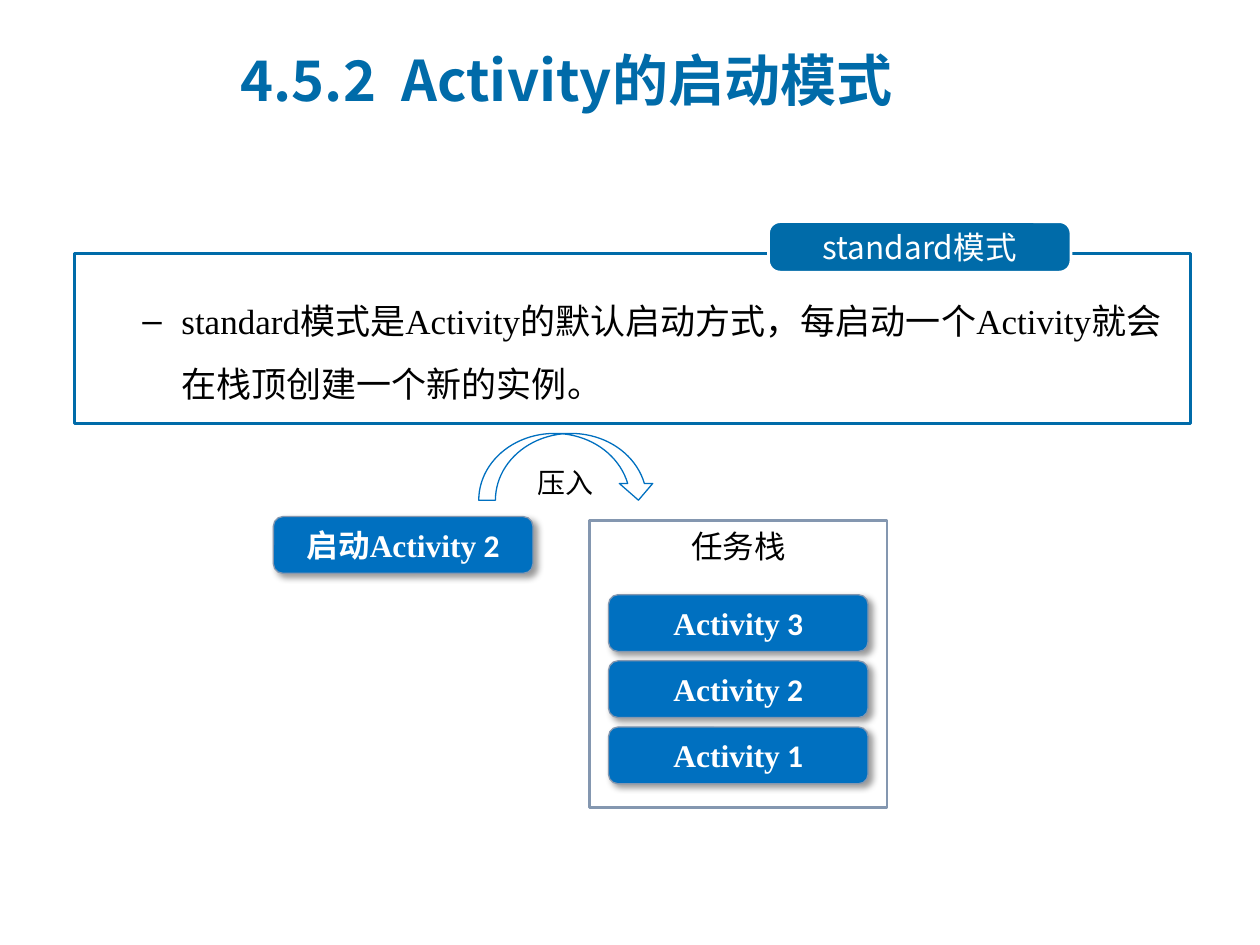
from lxml import etree
from pptx import Presentation
from pptx.dml.color import RGBColor
from pptx.enum.shapes import MSO_SHAPE
from pptx.enum.text import MSO_ANCHOR, MSO_AUTO_SIZE, PP_ALIGN
from pptx.oxml.ns import qn
from pptx.util import Inches, Pt

RECT, ROUND = MSO_SHAPE.RECTANGLE, MSO_SHAPE.ROUNDED_RECTANGLE
ARROW = MSO_SHAPE.CURVED_DOWN_ARROW
TOP, MIDDLE = MSO_ANCHOR.TOP, MSO_ANCHOR.MIDDLE
LEFT, CENTER = PP_ALIGN.LEFT, PP_ALIGN.CENTER
NO_FIT = MSO_AUTO_SIZE.NONE

SANS, SERIF, PLAIN = "Noto Sans CJK SC", "Times New Roman", "Calibri"
TEAL, BLUE, GRAY = "006BA9", "0070C0", "8497B0"
WHITE, BLACK = "FFFFFF", "000000"


def color(code):
    return RGBColor.from_string(code)


def write(frame, runs, size=18, ink=BLACK, bold=False, align=LEFT,
          anchor=TOP, level=0, space=None, indent=None, bullet=None):
    """Fill a frame with one paragraph of (text, font) runs."""
    frame.word_wrap = True
    frame.auto_size = NO_FIT
    frame.vertical_anchor = anchor
    para = frame.paragraphs[0]
    para.alignment = align
    para.level = level
    para.space_before = Pt(0)
    if space:
        para.line_spacing = space
    props = para._p.get_or_add_pPr()
    if indent:
        start, first = indent
        props.set("marL", str(Inches(start)))
        props.set("indent", str(Inches(first)))
    if bullet:
        etree.SubElement(props, qn("a:buChar"), char=bullet)
    for text, face in runs:
        run = para.add_run()
        run.text = text
        font = run.font
        font.size, font.bold, font.name = Pt(size), bold, face
        font.color.rgb = color(ink)
        etree.SubElement(run._r.rPr, qn("a:ea"), typeface=SANS)


class Board:
    """Holds the current slide and draws each kind of element."""

    def __init__(self, deck):
        self.slide = deck.slides.add_slide(deck.slide_layouts[1])
        self.shapes = self.slide.shapes

    def holder(self, index, box, runs, **style):
        item = self.slide.placeholders[index]
        item.left, item.top, item.width, item.height = map(Inches, box)
        write(item.text_frame, runs, **style)

    def label(self, box, runs, **style):
        item = self.shapes.add_textbox(*map(Inches, box))
        write(item.text_frame, runs, **style)

    def shape(self, kind, box, line, width, fill=None, runs=(), **style):
        item = self.shapes.add_shape(kind, *map(Inches, box))
        item.shadow.inherit = False
        item.line.color.rgb = color(line)
        item.line.width = Pt(width)
        if fill:
            item.fill.solid()
            item.fill.fore_color.rgb = color(fill)
        else:
            item.fill.background()
        if runs:
            write(item.text_frame, runs, align=CENTER, **style)
        return item

    def card(self, left, top, runs):
        item = self.shape(ROUND, (left, top, 2.06, 0.45), GRAY, 0.75, BLUE,
                          runs, ink=WHITE, bold=True, anchor=MIDDLE)
        effects = item._element.spPr.find(qn("a:effectLst"))
        shade = etree.SubElement(
            effects, qn("a:outerShdw"), blurRad=str(Pt(4)), dist=str(Pt(3)),
            dir="2700000", algn="tl", rotWithShape="0")
        tint = etree.SubElement(shade, qn("a:srgbClr"), val=BLACK)
        etree.SubElement(tint, qn("a:alpha"), val="40000")


def main():
    deck = Presentation()
    deck.slide_width, deck.slide_height = Inches(10), Inches(7.5)
    board = Board(deck)

    # Title
    board.holder(0, (1.81, 0.21, 6.7, 0.84),
                 [("4.5.2  Activity的启动模式", SANS)],
                 size=32, ink=TEAL, bold=True, anchor=MIDDLE)

    # Framed description with its tab
    board.shape(RECT, (0.59, 2.01, 8.86, 1.35), TEAL, 1.5)
    tab = board.shape(ROUND, (6.1, 1.76, 2.4, 0.4), WHITE, 1.5, TEAL,
                      [("standard模式", SANS)], ink=WHITE, anchor=MIDDLE)
    tab.adjustments[0] = 0.23
    board.holder(1, (0.53, 2.16, 8.81, 1.08),
                 [("standard模式是Activity的默认启动方式，"
                   "每启动一个Activity就会在栈顶创建一个新的实例", SERIF),
                  ("。", PLAIN)],
                 size=20, level=1, space=1.5, indent=(0.81, -0.31),
                 bullet="–")

    # Task stack, newest activity on top
    board.shape(RECT, (4.68, 4.13, 2.36, 2.28), GRAY, 1.5,
                runs=[("任务栈", PLAIN)], anchor=TOP)
    for row, number in enumerate((3, 2, 1)):
        board.card(4.83, 4.72 + row * 0.525,
                   [("Activity", SERIF), (f" {number}", PLAIN)])

    # Activity being pushed
    board.card(2.17, 4.1, [("启动", PLAIN), ("Activity", SERIF),
                           (" 2", PLAIN)])
    board.shape(ARROW, (3.8, 3.44, 1.4, 0.53), BLUE, 0.75)
    board.label((3.67, 3.51, 1.16, 0.39), [("压入", SANS)],
                size=16, space=1.5, indent=(0.5, 0))

    deck.save("out.pptx")


if __name__ == "__main__":
    main()
